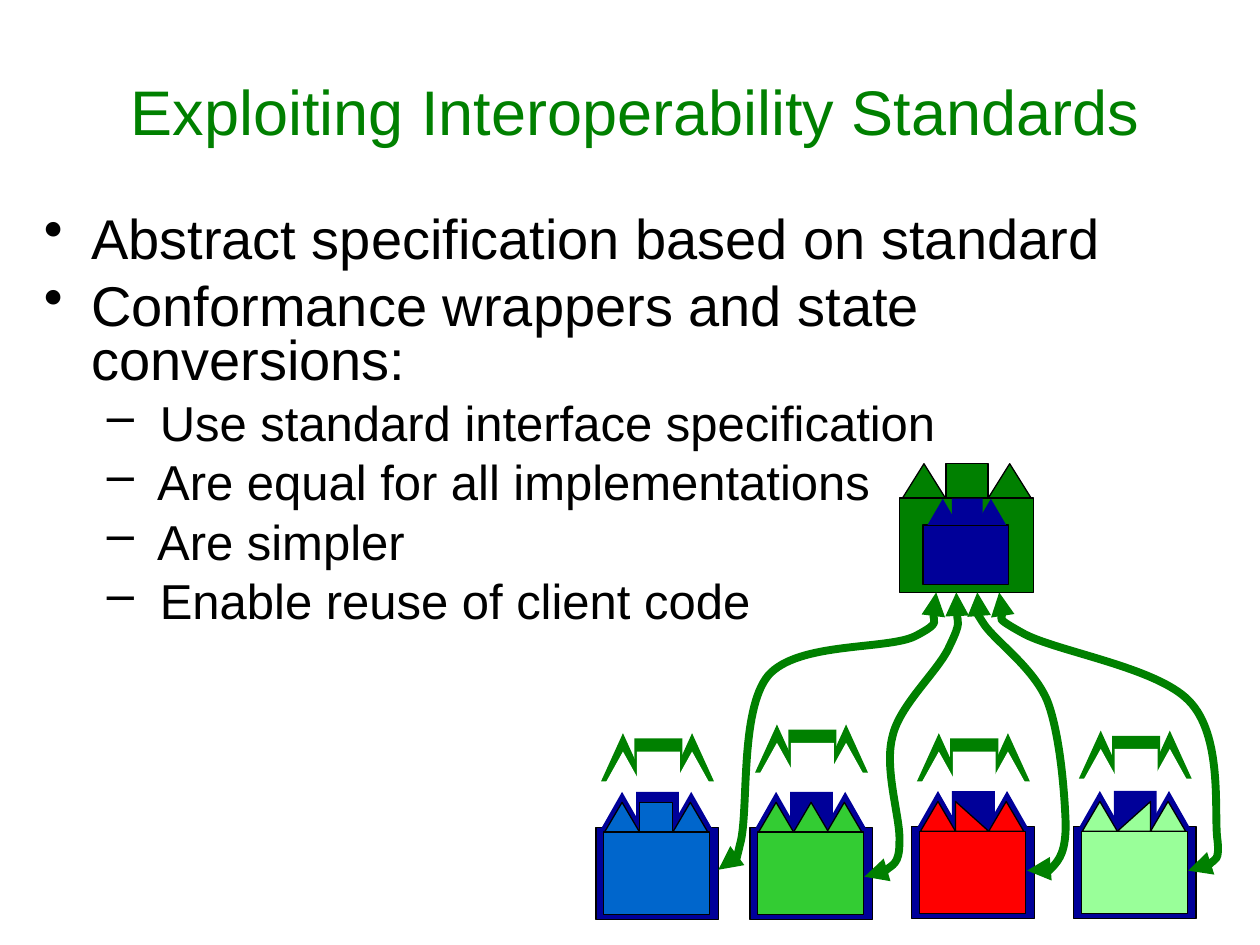
import pptx
import pptx.util
import pptx.dml.color
import pptx.enum.shapes
import pptx.enum.text
import lxml.etree
from pptx.oxml.ns import qn

Pt = pptx.util.Pt
Kind = pptx.enum.shapes.MSO_SHAPE
Align = pptx.enum.text.PP_ALIGN
Anchor = pptx.enum.text.MSO_ANCHOR
TRI, BOX, WEDGE = Kind.ISOSCELES_TRIANGLE, Kind.RECTANGLE, Kind.RIGHT_TRIANGLE
GREEN, NAVY, WHITE, BLACK = "008000", "000099", "FFFFFF", "000000"


def ink(code):
    return pptx.dml.color.RGBColor.from_string(code)


def write(para, text, size=28, color=BLACK, align=Align.LEFT,
          bullet=None, level=0, left=0, hang=0, before=0, gap=1.0):
    run = para.add_run()
    run.text = text
    run.font.name = "Arial"
    run.font.size = Pt(size)
    run.font.color.rgb = ink(color)
    para.alignment = align
    para.level = level
    para.space_before = Pt(before)
    para.line_spacing = gap
    if bullet:
        props = para._p.get_or_add_pPr()
        props.set("marL", str(Pt(left)))
        props.set("indent", str(-Pt(hang)))
        lxml.etree.SubElement(props, qn("a:buChar")).set("char", bullet)


deck = pptx.Presentation()
deck.slide_width, deck.slide_height = Pt(720), Pt(540)
slide = deck.slides.add_slide(deck.slide_layouts[5])

# Title
title = slide.shapes.title
title.left, title.top, title.width, title.height = Pt(30), Pt(18), Pt(666), Pt(90)
title.text_frame.vertical_anchor = Anchor.MIDDLE
write(title.text_frame.paragraphs[0], "Exploiting Interoperability Standards",
      size=36, color=GREEN, align=Align.CENTER)

# Bullet list
frame = slide.shapes.add_textbox(Pt(18), Pt(120), Pt(702), Pt(342)).text_frame
frame.word_wrap = True
main = dict(size=32, bullet="•", left=27, hang=27, before=8, gap=0.8)
sub = dict(size=28, bullet="–", level=1, left=58.5, hang=22.5, before=7, gap=0.8)
lines = [
    ("Abstract specification based on standard", main),
    ("Conformance wrappers and state conversions:", main),
    (" Use standard interface specification", sub),
    (" Are equal for all implementations", sub),
    (" Are simpler", sub),
    (" Enable reuse of client code", sub),
]
for i, (text, style) in enumerate(lines):
    para = frame.paragraphs[0] if i == 0 else frame.add_paragraph()
    write(para, text, **style)

# Client castle: each part is kind, left, top, width, height, fill, outlined
castles = [
    [(TRI, 515.5, 265, 25, 20, GREEN, True),
     (TRI, 564.5, 265, 25, 20, GREEN, True),
     (BOX, 540.5, 265, 24, 20, GREEN, True),
     (BOX, 514, 284.5, 76.5, 54, GREEN, True)],
    [(BOX, 527.5, 300, 49, 34, NAVY, True),
     (TRI, 557.5, 285, 17.5, 15, NAVY, False),
     (BOX, 544, 285, 17.5, 15, NAVY, False),
     (TRI, 530, 285, 17.5, 15, NAVY, False)],
]

# Four implementations: left, top, cap top, fill, middle of the roof
homes = [
    (340.5, 473, 419, "0066CC", BOX),
    (428.5, 473, 414, "33CC33", TRI),
    (521, 472.5, 419, "FF0000", WEDGE),
    (613.5, 472.5, 417.5, "99FF99", WEDGE),
]
for x, y, cap, fill, mid in homes:
    castles.append([
        (BOX, x, y, 70, 52.5, NAVY, True),
        (TRI, x + 42, y - 20.5, 25, 22, NAVY, False),
        (BOX, x + 23, y - 20.5, 24.5, 22, NAVY, False),
        (TRI, x + 2.5, y - 20.5, 25, 22, NAVY, False)])
    wide = 20 if mid == TRI else 19
    castles.append([
        (mid, x + 25, y - 14.5, wide, 17, fill, True),
        (TRI, x + 5, y - 14.5, 20, 17, fill, True),
        (TRI, x + 44, y - 14.5, 20, 17, fill, True),
        (BOX, x + 4.5, y + 2.5, 60.5, 47, fill, True)])
    castles.append([
        (TRI, x + 42.5, cap, 25, 27.5, GREEN, False),
        (BOX, x + 22, cap + 3, 27.5, 28, GREEN, False),
        (TRI, x + 3, cap, 25, 27.5, GREEN, False),
        (TRI, x + 42.5, cap + 10.5, 25, 22.5, WHITE, False),
        (BOX, x + 23.5, cap + 10.5, 24.5, 22.5, WHITE, False),
        (TRI, x + 3, cap + 10.5, 25, 22.5, WHITE, False)])

for parts in castles:
    group = slide.shapes.add_group_shape()
    for kind, x, y, w, h, fill, edge in parts:
        turn = kind == WEDGE and fill == "99FF99"
        if turn:
            # Keep the centre while the sides swap
            x, y, w, h = x + (w - h) / 2, y + (h - w) / 2, h, w
        part = group.shapes.add_shape(kind, Pt(x), Pt(y), Pt(w), Pt(h))
        part.rotation = 270 if turn else 0
        part.shadow.inherit = False
        part.fill.solid()
        part.fill.fore_color.rgb = ink(fill)
        if edge:
            part.line.color.rgb = ink(BLACK)
            part.line.width = Pt(0.75)
        else:
            part.line.fill.background()

# Curved arrows: a start, then three points for each Bézier piece
curves = [
    [(410.5, 497), (412.5, 494.5), (418.5, 500.5), (423, 482),
     (428, 464), (422.5, 406), (439, 386),
     (456, 366.5), (507, 371.5), (523, 363.5),
     (538.5, 355.5), (532, 344), (535, 338.5)],
    [(587, 497.5), (589, 497.5), (597.5, 499.5), (601.5, 495.5),
     (605.5, 491), (609, 486.5), (609, 471),
     (608.5, 455), (606, 420), (598.5, 400.5),
     (590.5, 381.5), (569.5, 367), (562.5, 357),
     (556, 347), (557.5, 342.5), (558.5, 338.5)],
    [(679, 497.5), (684, 497), (688.5, 497), (691, 494),
     (694, 490.5), (697.5, 493), (695.5, 478),
     (694, 462), (698.5, 420), (679.5, 400.5),
     (661, 381), (602, 372), (584, 361.5),
     (566, 351.5), (574, 343.5), (571, 338.5)],
    [(494, 501), (499, 502), (503.5, 501), (506, 497.5),
     (510, 494), (514, 494), (514, 481.5),
     (515, 468.5), (505, 440), (510, 421),
     (514, 402.5), (537, 383), (543, 368.5),
     (549.5, 355), (546, 345), (546.5, 338.5)],
]
for start, *rest in curves:
    pen = slide.shapes.build_freeform(Pt(start[0]), Pt(start[1]))
    pen.add_line_segments([(Pt(x), Pt(y)) for x, y in rest], close=False)
    curve = pen.convert_to_shape()
    curve.shadow.inherit = False
    curve.fill.background()
    curve.line.color.rgb = ink(GREEN)
    curve.line.width = Pt(4.5)
    # Join each three line points into one Bézier piece
    track = curve._element.find(".//" + qn("a:path"))
    steps = track.findall(qn("a:lnTo"))
    for i in range(0, len(steps), 3):
        bend = lxml.etree.SubElement(track, qn("a:cubicBezTo"))
        for step in steps[i:i + 3]:
            bend.append(step[0])
            track.remove(step)
    edge = curve.line._get_or_add_ln()
    for end in ("a:headEnd", "a:tailEnd"):
        lxml.etree.SubElement(edge, qn(end)).set("type", "triangle")

deck.save("out.pptx")
